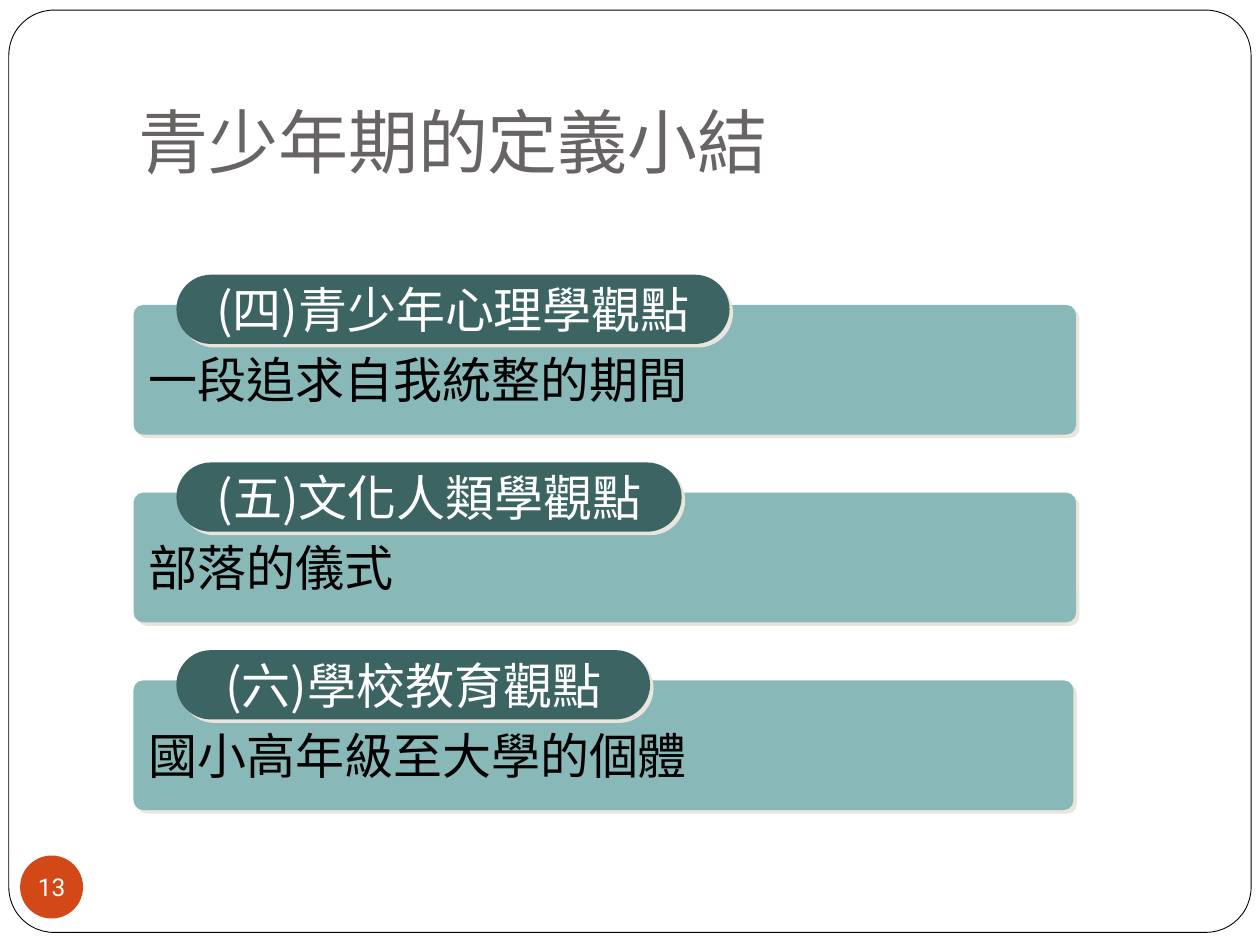
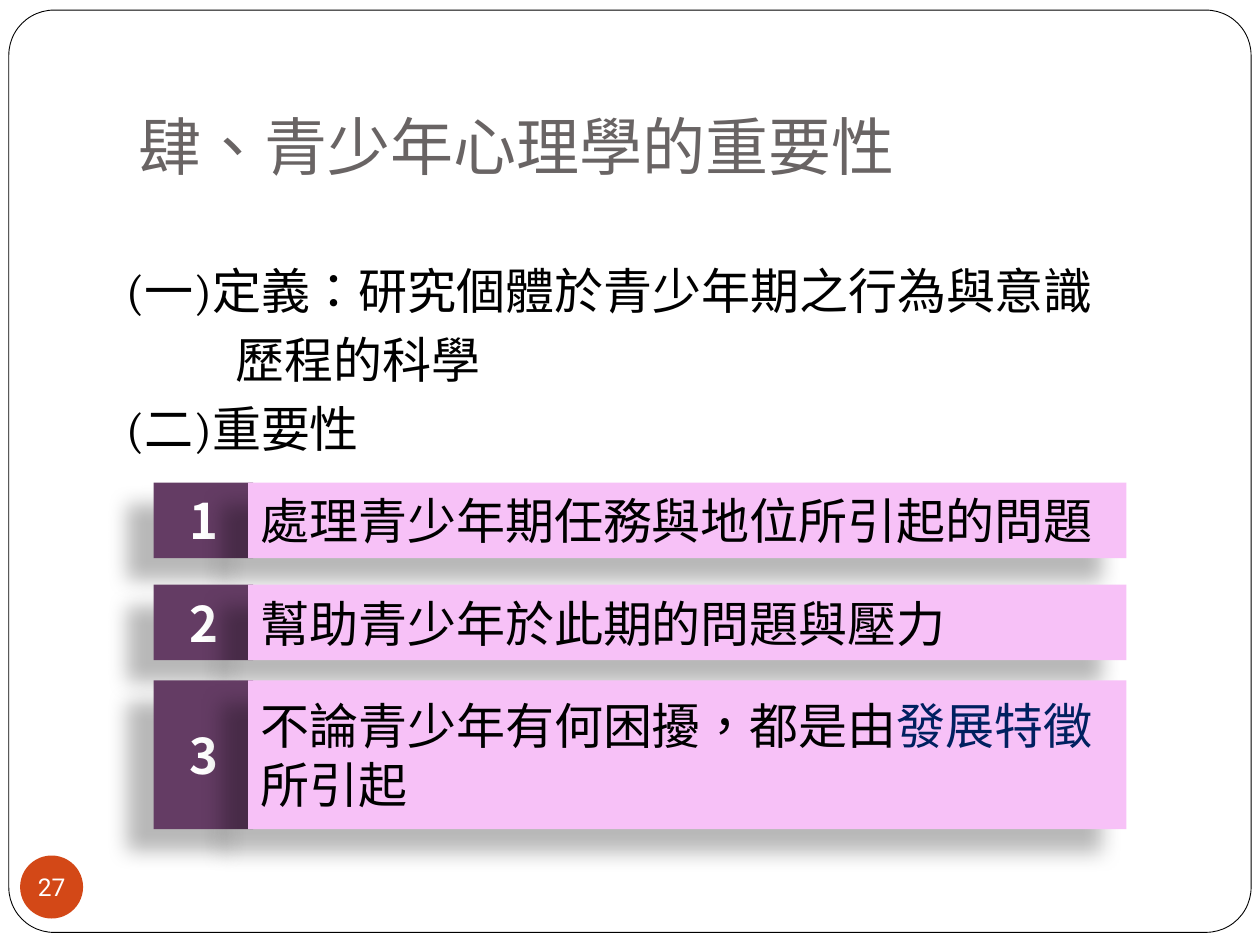
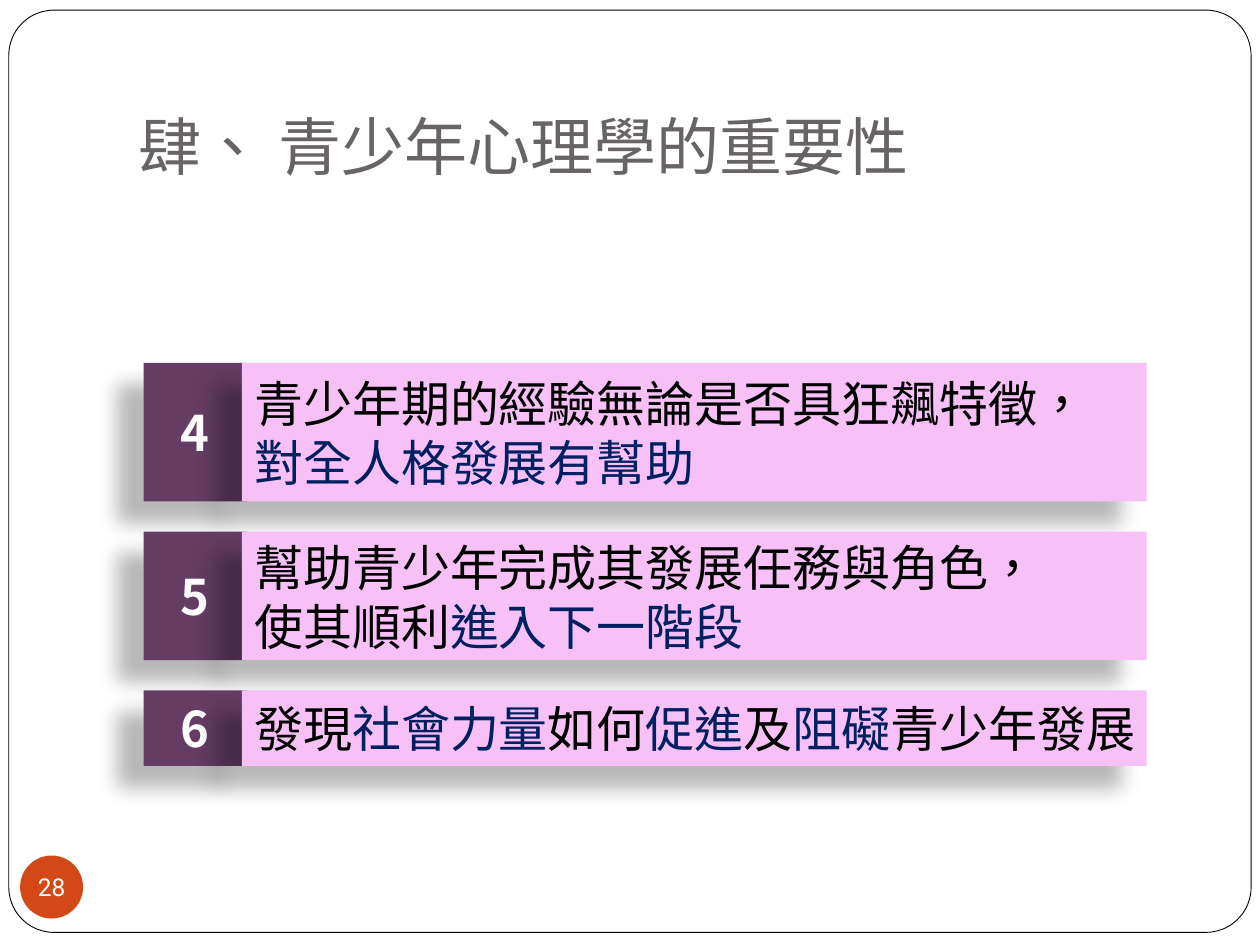
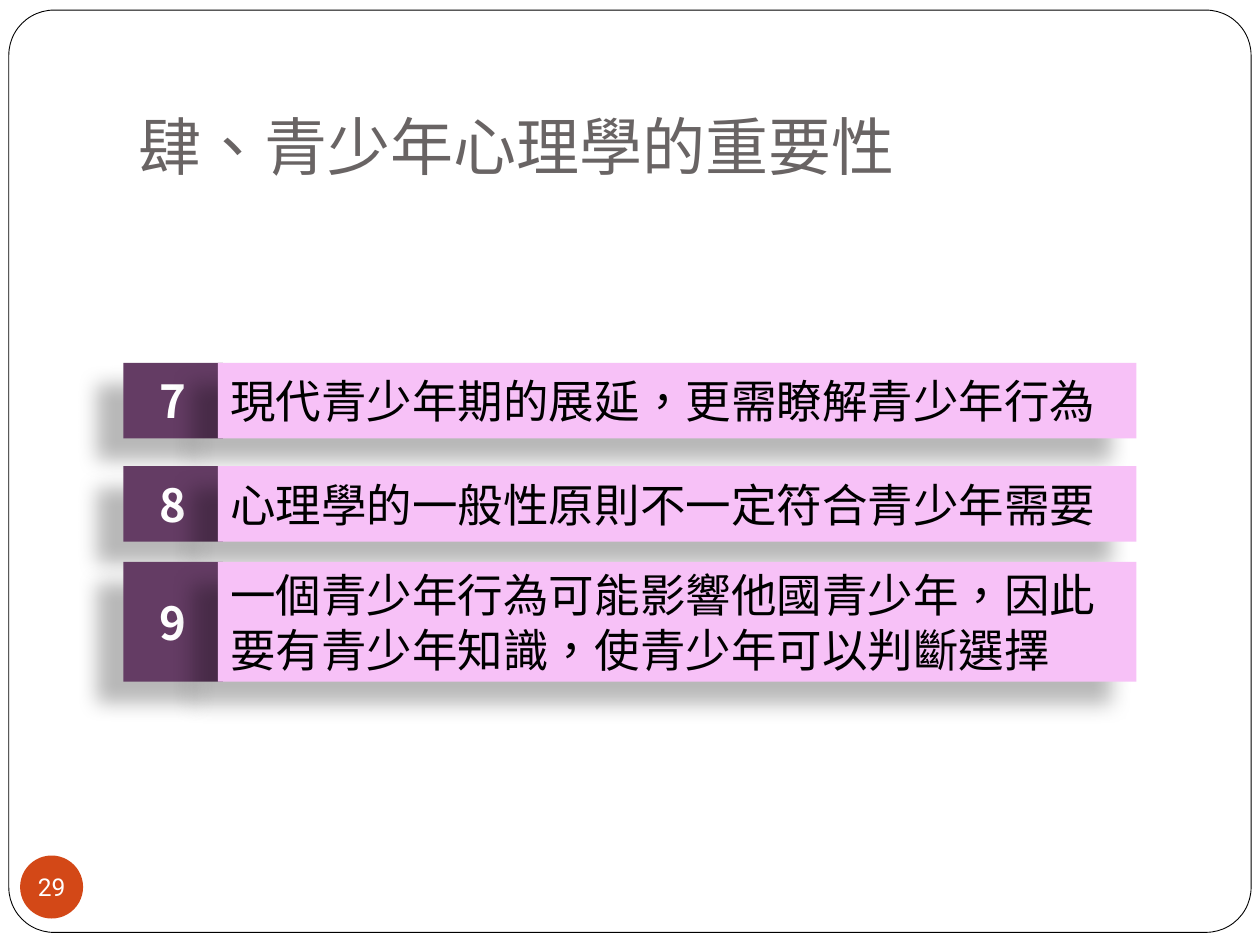
from dataclasses import dataclass

from lxml import etree
from pptx import Presentation
from pptx.dml.color import RGBColor
from pptx.enum.shapes import MSO_SHAPE
from pptx.enum.text import MSO_ANCHOR, PP_ALIGN
from pptx.oxml.ns import qn
from pptx.util import Emu, Inches, Pt

RECT, ROUND, OVAL = MSO_SHAPE.RECTANGLE, MSO_SHAPE.ROUNDED_RECTANGLE, MSO_SHAPE.OVAL
TOP, MID, LOW = MSO_ANCHOR.TOP, MSO_ANCHOR.MIDDLE, MSO_ANCHOR.BOTTOM
LEFT, MIDDLE = PP_ALIGN.LEFT, PP_ALIGN.CENTER


@dataclass(frozen=True)
class Theme:
    white: str = "FFFFFF"
    black: str = "000000"
    gray: str = "696464"
    orange: str = "D34817"
    teal: str = "88B8B7"
    deep: str = "3C6463"
    plum: str = "643C64"
    pink: str = "F7C1F7"
    navy: str = "002060"
    head: str = "Roboto"
    body: str = "Cambria"
    cjk: str = "Noto Sans CJK SC"
    big: int = 40
    title: int = 36
    text: int = 28
    small: int = 26
    page: int = 14
    # Shadows: colour, opacity %, blur pt, distance pt, angle
    edge: tuple = ("E9E5DC", 100, 0, 2.8, 45)
    cast: tuple = ("000000", 28, 11.8, 19.7, 141)


T = Theme()


def rgb(code):
    return RGBColor.from_string(code)


# Text
def add_run(para, text, size, color, font=T.cjk, bold=False):
    run = para.add_run()
    run.text = text
    run.font.size, run.font.bold, run.font.name = Pt(size), bold, font
    run.font.color.rgb = rgb(color)
    props = run._r.get_or_add_rPr()
    props.set("lang", "zh-TW")
    latin = props.find(qn("a:latin"))
    asian = etree.Element(qn("a:ea"), typeface=T.cjk)
    latin.addnext(asian)


def set_frame(shape, anchor=MID, wrap=True, pads=(0.1, 0.05, 0.1, 0.05)):
    frame = shape.text_frame
    frame.word_wrap, frame.vertical_anchor = wrap, anchor
    (frame.margin_left, frame.margin_top,
     frame.margin_right, frame.margin_bottom) = map(Inches, pads)
    return frame


def add_lines(frame, lines, size, align=LEFT, font=T.cjk, bold=False):
    """Each line is a list of (text, colour) runs."""
    for i, line in enumerate(lines):
        para = frame.add_paragraph() if i else frame.paragraphs[0]
        para.alignment = align
        for text, color in line:
            add_run(para, text, size, color, font, bold)


# Shapes
def add_shadow(shape, look):
    color, alpha, blur, dist, angle = look
    effects = shape._element.spPr.find(qn("a:effectLst"))
    outer = etree.SubElement(
        effects, qn("a:outerShdw"), blurRad=str(Pt(blur)), dist=str(Pt(dist)),
        dir=str(angle * 60000), algn="ctr", rotWithShape="0")
    tint = etree.SubElement(outer, qn("a:srgbClr"), val=color)
    etree.SubElement(tint, qn("a:alpha"), val=str(alpha * 1000))


def add_box(slide, kind, box, fill, shadow=None, corner=None):
    shape = slide.shapes.add_shape(kind, *map(Inches, box))
    shape.fill.solid()
    shape.fill.fore_color.rgb = rgb(fill)
    shape.line.fill.background()
    shape.shadow.inherit = False
    if shadow:
        add_shadow(shape, shadow)
    if corner is not None:
        shape.adjustments[0] = corner
    return shape


# Shared page: frame, title, number
def add_page(deck, title, number, size=T.title):
    slide = deck.slides.add_slide(deck.slide_layouts[6])
    frame = add_box(slide, ROUND, (0.07, 0.08, 9.86, 7.32), T.white, corner=0.049)
    frame.line.color.rgb = rgb(T.black)
    frame.line.width = Pt(0.5)

    head = slide.shapes.add_textbox(*map(Inches, (1, 0.3, 8.5, 1.25)))
    add_lines(set_frame(head, LOW, pads=(0.1, 0.05, 0.1, 0.1)),
              [[(title, T.gray)]], size, font=T.head)

    badge = add_box(slide, OVAL, (0.16, 6.79, 0.5, 0.5), T.orange)
    add_lines(set_frame(badge, wrap=False, pads=(0, 0, 0, 0)),
              [[(str(number), T.white)]], T.page, MIDDLE, T.head)
    return slide


# Panel with a pill label on its upper edge
def add_panel(slide, top, width, label, span, text):
    panel = add_box(slide, ROUND, (1.06, top, width, 1.03), T.teal, T.edge, 0.075)
    add_lines(set_frame(panel, pads=(0.1, 0.2, 0.1, 0.05)),
              [[(text, T.black)]], T.text)
    pill = add_box(slide, ROUND, (1.4, top - 0.24, span, 0.55), T.deep, T.edge, 0.5)
    add_lines(set_frame(pill, wrap=False), [[(label, T.white)]], T.text, MIDDLE)


# Numbered bars
def add_bars(slide, left, tab, width, first, rows, size=T.text):
    """Each row is (top, height, lines)."""
    for number, (top, height, lines) in enumerate(rows, first):
        mark = add_box(slide, RECT, (left, top, tab, height), T.plum, T.cast)
        add_lines(set_frame(mark, wrap=False), [[(str(number), T.white)]],
                  size, MIDDLE, bold=True)
        bar = add_box(slide, RECT, (left + tab - 0.04, top, width, height),
                      T.pink, T.cast)
        add_lines(set_frame(bar, pads=(0.1, 0.05, 0, 0.05)), lines, size)


# Outline text with hanging lines
def add_outline(slide, box, items):
    """Each item is (text, margin, indent)."""
    shape = slide.shapes.add_textbox(*map(Inches, box))
    frame = set_frame(shape, TOP)
    add_lines(frame, [[(text, T.black)] for text, _, _ in items],
              T.text, font=T.body)
    for para, (_, margin, indent) in zip(frame.paragraphs, items):
        para.space_before = Pt(5.8)
        props = para._p.get_or_add_pPr()
        props.set("marL", str(Inches(margin)))
        props.set("indent", str(Inches(indent)))


def plain(text):
    return (text, T.black)


def key(text):
    return (text, T.navy)


def main():
    deck = Presentation()
    deck.slide_width, deck.slide_height = Inches(10), Inches(7.5)

    # Summary of definitions
    slide = add_page(deck, "青少年期的定義小結", 13, T.big)
    views = [
        (7.48, "(四)青少年心理學觀點", 4.39, "一段追求自我統整的期間"),
        (7.48, "(五)文化人類學觀點", 4.01, "部落的儀式"),
        (7.46, "(六)學校教育觀點", 3.76, "國小高年級至大學的個體"),
    ]
    for i, view in enumerate(views):
        add_panel(slide, 2.42 + 1.49 * i, *view)

    # Importance, 1 to 3
    topic = "肆、青少年心理學的重要性"
    slide = add_page(deck, topic, 27)
    add_outline(slide, (0.9, 2.02, 8.35, 1.65), [
        ("(一)定義：研究個體於青少年期之行為與意識", 0.3, -0.3),
        ("歷程的科學", 0.87, 0),
        ("(二)重要性", 0.3, -0.3),
    ])
    add_bars(slide, 1.22, 0.79, 6.97, 1, [
        (3.83, 0.6, [[plain("處理青少年期任務與地位所引起的問題")]]),
        (4.64, 0.6, [[plain("幫助青少年於此期的問題與壓力")]]),
        (5.4, 1.18, [[plain("不論青少年有何困擾，都是由"), key("發展特徵")],
                     [plain("所引起")]]),
    ])

    # Importance, 4 to 6
    slide = add_page(deck, "肆、 青少年心理學的重要性", 28)
    add_bars(slide, 1.14, 0.82, 7.18, 4, [
        (2.88, 1.1, [[plain("青少年期的經驗無論是否具狂飆特徵，")],
                     [key("對全人格發展有幫助")]]),
        (4.22, 1.02, [[plain("幫助青少年完成其發展任務與角色，")],
                      [plain("使其順利"), key("進入下一階段")]]),
        (5.48, 0.6, [[plain("發現"), key("社會力量"), plain("如何"), key("促進"),
                      plain("及"), key("阻礙"), plain("青少年發展")]]),
    ])

    # Importance, 7 to 9
    slide = add_page(deck, topic, 29)
    add_bars(slide, 0.98, 0.79, 7.29, 7, [
        (2.88, 0.6, [[plain("現代青少年期的展延，更需瞭解青少年行為")]]),
        (3.7, 0.6, [[plain("心理學的一般性原則不一定符合青少年需要")]]),
        (4.46, 0.95, [[plain("一個青少年行為可能影響他國青少年，因此")],
                      [plain("要有青少年知識，使青少年可以判斷選擇")]]),
    ], T.small)

    deck.save("out.pptx")


main()
